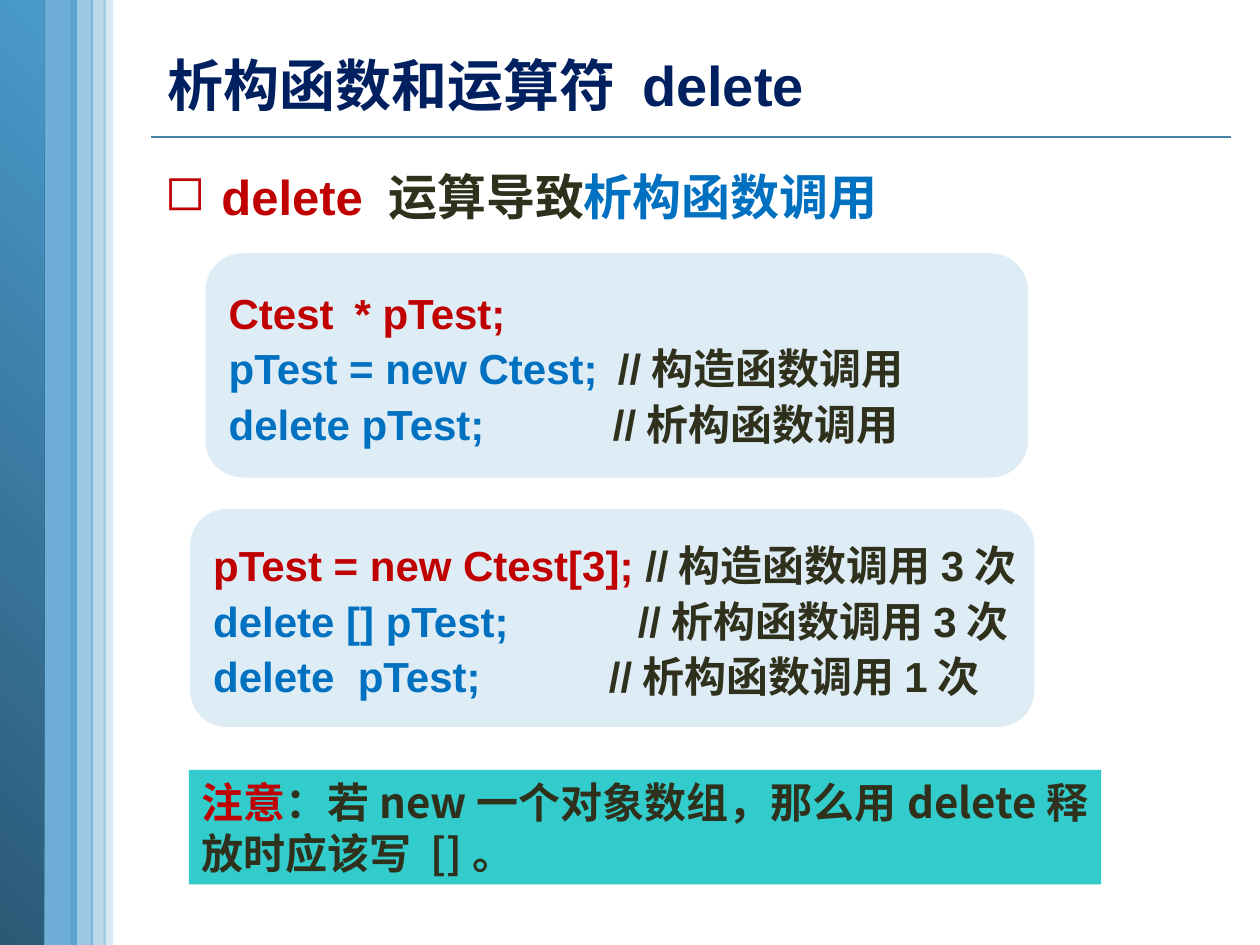
from lxml.etree import SubElement
from pptx import Presentation
from pptx.dml.color import RGBColor
from pptx.enum.shapes import MSO_CONNECTOR, MSO_SHAPE
from pptx.enum.text import MSO_ANCHOR, PP_ALIGN
from pptx.oxml.ns import qn
from pptx.util import Inches, Pt

WIDTH, HEIGHT = Inches(10), Inches(7.5)
COLUMNS, ROWS = 100, 75
LATIN_FONT, CHINESE_FONT = "Arial", "Noto Sans CJK SC"

NAVY = RGBColor(0x00, 0x20, 0x60)
RED = RGBColor(0xC0, 0x00, 0x00)
BLUE = RGBColor(0x00, 0x70, 0xC0)
INK = RGBColor(0x30, 0x31, 0x1D)
SKY = RGBColor(0x4A, 0x9A, 0xCC)
DEEP = RGBColor(0x2B, 0x59, 0x76)
PALE = RGBColor(0x92, 0xC2, 0xE0)
RULE = RGBColor(0x45, 0x82, 0xA7)
TEAL = RGBColor(0x33, 0xCC, 0xCC)


def column(number):
    return round(WIDTH * number / COLUMNS)


def row(number):
    return round(HEIGHT * number / ROWS)


def place(left, top, width, height):
    return column(left), row(top), column(width), row(height)


def add_panel(page, area, color, opacity=100, kind=MSO_SHAPE.RECTANGLE):
    box = page.shapes.add_shape(kind, *place(*area))
    box.shadow.inherit = False
    box.line.fill.background()
    box.fill.solid()
    box.fill.fore_color.rgb = color
    if opacity < 100:
        tint = box.fill._xPr.find(".//" + qn("a:srgbClr"))
        SubElement(tint, qn("a:alpha"), val=str(opacity * 1000))
    return box


def add_gradient_bar(page, area):
    bar = add_panel(page, area, DEEP)
    bar.fill.gradient()
    bar.fill.gradient_angle = 45
    for stop, color in zip(bar.fill.gradient_stops, (DEEP, SKY)):
        stop.color.rgb = color


def add_rule(page, left, right, top):
    rule = page.shapes.add_connector(
        MSO_CONNECTOR.STRAIGHT, column(left), row(top), column(right), row(top))
    rule.line.color.rgb = RULE
    rule.line.width = Pt(1)
    SubElement(rule._element.spPr, qn("a:effectLst"))


def add_text_box(page, area):
    box = page.shapes.add_textbox(*place(*area))
    box.text_frame.word_wrap = True
    return box


def add_span(para, text, size, color, font=LATIN_FONT):
    span = para.add_run()
    span.text = text
    span.font.size = Pt(size)
    span.font.bold = True
    span.font.color.rgb = color
    span.font.name = font
    SubElement(span.font._element, qn("a:ea"), typeface=CHINESE_FONT)


def fill_para(para, spans, size, spacing):
    para.alignment = PP_ALIGN.LEFT
    para.line_spacing = Pt(spacing)
    for span in spans:
        add_span(para, span[0], size, *span[1:])


def set_bullet(para, mark, indent):
    properties = para._p.get_or_add_pPr()
    properties.set("marL", str(column(indent)))
    properties.set("indent", str(-column(indent)))
    SubElement(properties, qn("a:buChar"), char=mark)


def set_tabs(para, stops):
    tabs = SubElement(para._p.get_or_add_pPr(), qn("a:tabLst"))
    for stop in stops:
        SubElement(tabs, qn("a:tab"), pos=str(column(stop)), algn="l")


def add_code_panel(page, area, lines):
    frame = add_panel(page, area, PALE, 30, MSO_SHAPE.ROUNDED_RECTANGLE).text_frame
    frame.word_wrap = False
    frame.vertical_anchor = MSO_ANCHOR.MIDDLE
    for number, (stops, color, code, remark) in enumerate(lines):
        para = frame.add_paragraph() if number else frame.paragraphs[0]
        if stops:
            set_tabs(para, stops)
        spans = [(code, color)]
        if remark:
            spans.append((remark, INK))
        fill_para(para, spans, 24, 31.7)


def add_side_bars(page):
    add_panel(page, (3, 0, 3.1, 75), SKY, 80)
    add_gradient_bar(page, (0, 0, 3.5, 75))
    for left, width, opacity in ((8.2, 0.8, 20), (5.6, 1.8, 54), (7.2, 1.2, 37)):
        add_panel(page, (left, 0, width, 75), SKY, opacity)


def add_note(page):
    frame = add_panel(page, (15, 61.1, 72.4, 9.1), TEAL).text_frame
    frame.word_wrap = True
    frame.margin_right = column(0.5)
    frame.vertical_anchor = MSO_ANCHOR.MIDDLE
    fill_para(frame.paragraphs[0], [
        ("注意", RED),
        ("：", INK),
        ("若new一个对象数组，那么用delete释放时应该写 []。", INK, CHINESE_FONT),
    ], 24, 29)


def main():
    deck = Presentation()
    deck.slide_width, deck.slide_height = WIDTH, HEIGHT
    page = deck.slides.add_slide(deck.slide_layouts[6])

    add_rule(page, 12, 97.7, 10.9)
    add_side_bars(page)

    title = add_text_box(page, (12.3, 3.3, 67.4, 6.4))
    fill_para(title.text_frame.paragraphs[0],
              [("析构函数和运算符 delete", NAVY)], 32, 40)

    topic = add_text_box(page, (12.1, 12.4, 84.7, 5.7)).text_frame.paragraphs[0]
    set_bullet(topic, "◻", 4.5)
    fill_para(topic, [("delete ", RED), ("运算导致", INK), ("析构函数调用", BLUE)], 28, 36)
    topic.font.size = Pt(28)

    add_code_panel(page, (16.3, 20.1, 65.3, 17.8), [
        ([10], RED, "Ctest\t* pTest;", ""),
        ([30.9], BLUE, "pTest = new Ctest;\t", "//构造函数调用"),
        ([30.5], BLUE, "delete pTest;\t", "//析构函数调用"),
    ])
    add_code_panel(page, (15.1, 40.4, 67, 17.3), [
        ([], RED, "pTest = new Ctest[3]; ", "//构造函数调用3次"),
        ([33.7], BLUE, "delete [] pTest;\t", "//析构函数调用3次"),
        ([31.4], BLUE, "delete  pTest;\t", "//析构函数调用1次"),
    ])
    add_note(page)

    deck.save("out.pptx")


if __name__ == "__main__":
    main()
